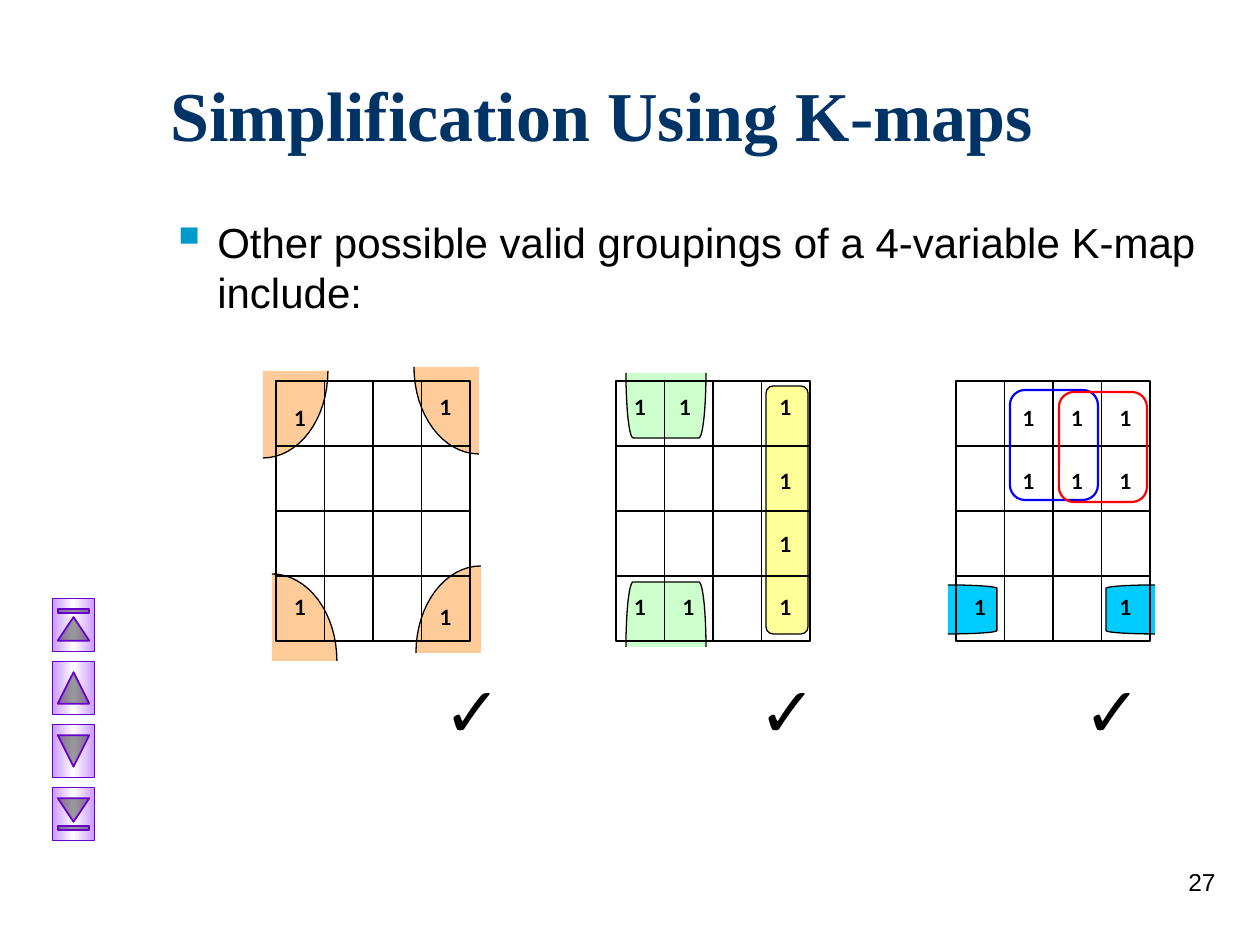
from copy import deepcopy
from math import cos, pi, sin

from lxml.etree import SubElement
from pptx import Presentation
from pptx.dml.color import RGBColor
from pptx.enum.shapes import MSO_CONNECTOR, MSO_SHAPE
from pptx.enum.text import MSO_ANCHOR, PP_ALIGN
from pptx.oxml.ns import qn
from pptx.util import Emu, Pt

BLACK = RGBColor(0x00, 0x00, 0x00)
NAVY = RGBColor(0x00, 0x33, 0x66)
TEAL = "0099CC"
ORANGE = RGBColor(0xFF, 0xCC, 0x99)
YELLOW = RGBColor(0xFF, 0xFF, 0x99)
GREEN = RGBColor(0xCC, 0xFF, 0xCC)
CYAN = RGBColor(0x00, 0xCC, 0xFF)
BLUE = RGBColor(0x00, 0x00, 0xFF)
RED = RGBColor(0xFF, 0x00, 0x00)
LILAC = RGBColor(0xCC, 0x99, 0xFF)
WHITE = RGBColor(0xFF, 0xFF, 0xFF)
PURPLE = RGBColor(0x66, 0x00, 0xCC)

TITLE = "Simplification Using K-maps"
BODY = "Other possible valid groupings of a 4-variable K-map include:"
TOP, WIDE, HIGH, CELLS = 381, 194, 260, 4

CORNERS = [(481, 653, -1, -1), (272, 661, 1, -1), (263, 371, 1, 1), (479, 367, -1, 1)]
CUPS = [
    (626, 647, 80, -65, False, GREEN),
    (626, 373, 80, 65, False, GREEN),
    (1155, 585, 49, -49, True, CYAN),
    (948, 585, 49, 49, True, CYAN),
]
COLUMN = (766, 386, 42, 248)
RINGS = [(1010, 390, 88, 110, BLUE), (1059, 392, 88, 110, RED)]
MAPS = [
    {"left": 276, "check": 431,
     "ones": [(3, 388), (3, 598), (0, 588), (0, 399)]},
    {"left": 616, "check": 746,
     "ones": [(3, 388), (3, 588), (0, 588), (0, 388),
              (3, 462), (3, 525), (1, 588), (0.93, 388)]},
    {"left": 956, "check": 1071,
     "ones": [(3, 399), (3, 588), (0, 588), (1, 399),
              (2, 399), (3, 462), (2, 462), (1, 462)]},
]
BUTTONS = [
    MSO_SHAPE.ACTION_BUTTON_BEGINNING,
    MSO_SHAPE.ACTION_BUTTON_BACK_OR_PREVIOUS,
    MSO_SHAPE.ACTION_BUTTON_FORWARD_OR_NEXT,
    MSO_SHAPE.ACTION_BUTTON_END,
]


def px(n):
    return Emu(round(n * 914400 / 126))


def style(shape, fill, line=BLACK, width=0.75):
    shape.shadow.inherit = False
    if fill is None:
        shape.fill.background()
    else:
        shape.fill.solid()
        shape.fill.fore_color.rgb = fill
    shape.line.color.rgb = line
    shape.line.width = Pt(width)


def write(frame, words, font, size, color=BLACK, bold=False, align=PP_ALIGN.LEFT):
    frame.word_wrap = True
    para = frame.paragraphs[0]
    para.alignment = align
    run = para.add_run()
    run.text = words
    run.font.name = font
    run.font.size = Pt(size)
    run.font.bold = bold
    run.font.color.rgb = color
    return para


def label(box, *args, **kinds):
    frame = shapes.add_textbox(*map(px, box)).text_frame
    return write(frame, *args, **kinds)


def outline(points, close):
    points = [(px(x), px(y)) for x, y in points]
    build = shapes.build_freeform(*points[0])
    build.add_line_segments(points[1:], close=close)
    return build.convert_to_shape()


def arc(x, y, rx, ry, start, end, steps=16):
    turns = [start + (end - start) * i / steps for i in range(steps + 1)]
    return [(x + rx * cos(t), y + ry * sin(t)) for t in turns]


def corner(x, y, dx, dy):
    shape = outline(arc(x, y, 65 * dx, 87 * dy, 0, pi / 2) + [(x, y)], True)
    style(shape, ORANGE)
    area = shape.element.spPr.find(".//" + qn("a:path"))
    edge = deepcopy(area)
    area.set("stroke", "0")
    edge.set("fill", "none")
    for part in edge[-2:]:
        edge.remove(part)
    area.addnext(edge)


def cup(x, y, span, depth, side, fill):
    bend = span * (0.07 if side else 0.09)
    curve = arc(bend, 0, bend, depth, pi, pi / 2)
    curve += arc(span - bend, 0, bend, depth, pi / 2, 0)
    points = [(x + v, y + u) if side else (x + u, y + v) for u, v in curve]
    style(outline(points, False), fill)


def ring(box, fill, line, width):
    shape = shapes.add_shape(MSO_SHAPE.ROUNDED_RECTANGLE, *map(px, box))
    shape.adjustments[0] = 0.17
    style(shape, fill, line, width)


def rule(ends, frame, sides):
    line = shapes.add_connector(MSO_CONNECTOR.STRAIGHT, *map(px, ends))
    if sides:
        line.begin_connect(frame, sides[0])
        line.end_connect(frame, sides[1])
    line.line.color.rgb = BLACK
    line.line.width = Pt(0.75)
    SubElement(line.element.spPr, qn("a:effectLst"))


def grid(left):
    frame = shapes.add_shape(MSO_SHAPE.RECTANGLE, *map(px, (left, TOP, WIDE, HIGH)))
    style(frame, None)
    for i in range(1, CELLS):
        x, y = left + WIDE * i / CELLS, TOP + HIGH * i / CELLS
        mid = i * 2 == CELLS
        rule((left, y, left + WIDE, y), frame, (1, 3) if mid else None)
        rule((x, TOP, x, TOP + HIGH), frame, (0, 2) if mid else None)


def button(kind, row):
    shape = shapes.add_shape(kind, *map(px, (47, 604 + 63 * row, 53, 42)))
    shape.rotation = 90
    style(shape, LILAC, PURPLE, 1)
    shape.fill.gradient()
    shape.fill.gradient_angle = 270
    stops = shape.element.spPr.find(".//" + qn("a:gsLst"))
    stops.insert(1, deepcopy(stops[0]))
    tints = [(0, LILAC), (0.5, WHITE), (1, LILAC)]
    for stop, (place, tint) in zip(shape.fill.gradient_stops, tints):
        stop.position = place
        stop.color.rgb = tint


deck = Presentation()
deck.slide_width, deck.slide_height = px(1260), px(945)
slide = deck.slides.add_slide(deck.slide_layouts[5])
shapes = slide.shapes

title = shapes.title
title.left, title.top, title.width, title.height = map(px, (158, 63, 1071, 102))
title.text_frame.vertical_anchor = MSO_ANCHOR.MIDDLE
write(title.text_frame, TITLE, "Times New Roman", 40, NAVY, True)

body = label((158, 210, 1071, 126), BODY, "Arial", 24)
props = body._p.get_or_add_pPr()
props.set("marL", str(px(47)))
props.set("indent", str(-px(47)))
tint = SubElement(props, qn("a:buClr"))
SubElement(tint, qn("a:srgbClr"), val=TEAL)
SubElement(props, qn("a:buSzPct"), val="120000")
SubElement(props, qn("a:buChar"), char="▪")

for spot in CORNERS:
    corner(*spot)
ring(COLUMN, YELLOW, BLACK, 0.75)
for spot in CUPS:
    cup(*spot)
for kmap in MAPS:
    grid(kmap["left"])
    for col, top in kmap["ones"]:
        box = (kmap["left"] + col * WIDE / CELLS, top, WIDE / CELLS, 50)
        label(box, "1", "Lato", 12, bold=True, align=PP_ALIGN.CENTER)
    label((kmap["check"], 661, 73, 97), "✓", "Arial", 40)
for *box, color in RINGS:
    ring(box, None, color, 1.25)
for row, kind in enumerate(BUTTONS):
    button(kind, row)
label((966, 861, 262, 63), "27", "Arial", 14, align=PP_ALIGN.RIGHT)

deck.save("out.pptx")
